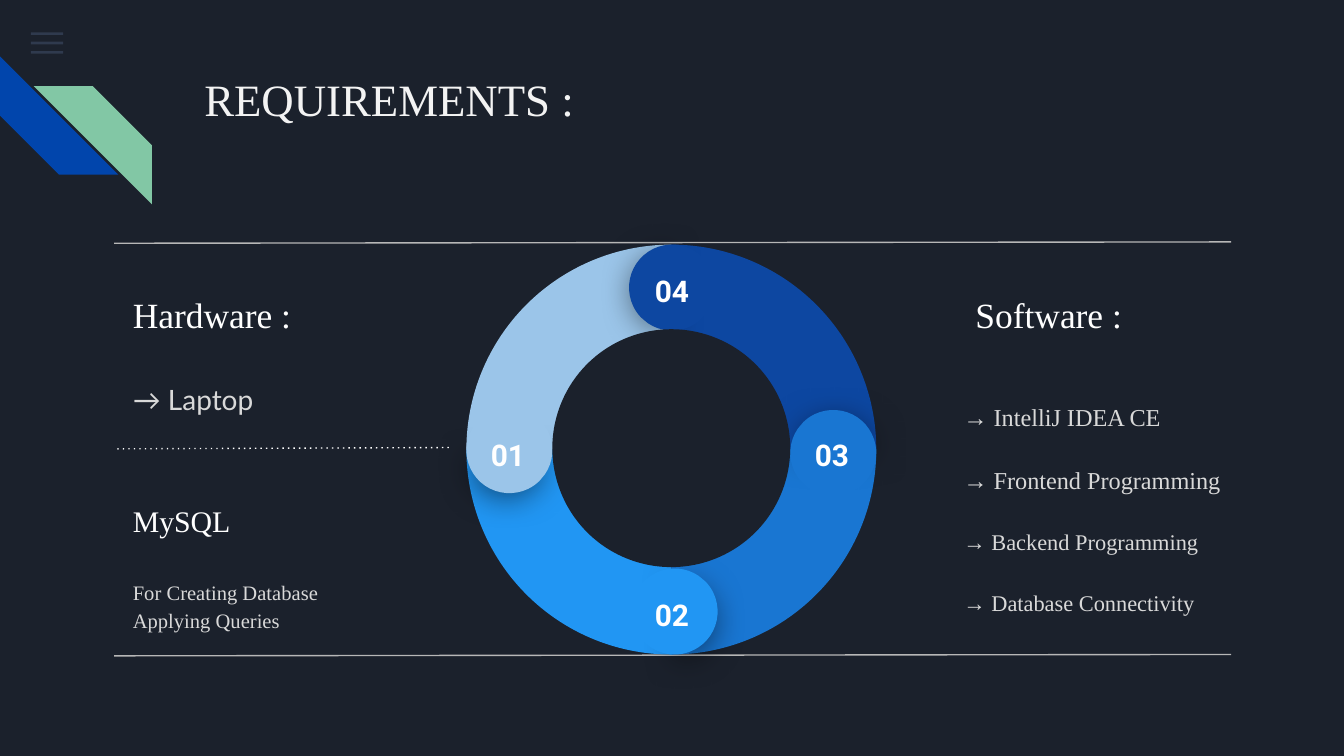
from lxml import etree
from pptx import Presentation
from pptx.dml.color import RGBColor
from pptx.enum.shapes import MSO_CONNECTOR, MSO_SHAPE
from pptx.enum.text import MSO_ANCHOR, PP_ALIGN
from pptx.oxml.ns import qn
from pptx.util import Inches, Pt

RECTANGLE = MSO_SHAPE.RECTANGLE
STRIPE = MSO_SHAPE.DIAGONAL_STRIPE
PIE = MSO_SHAPE.PIE
CHORD = MSO_SHAPE.CHORD
OVAL = MSO_SHAPE.OVAL
STRAIGHT = MSO_CONNECTOR.STRAIGHT
TOP, MIDDLE = MSO_ANCHOR.TOP, MSO_ANCHOR.MIDDLE
LEFT, CENTER = PP_ALIGN.LEFT, PP_ALIGN.CENTER
SERIF = "Times New Roman"
BACKGROUND, WHITE, GRAY = "1B212C", "FFFFFF", "D9D9D9"
color = RGBColor.from_string


def add_filled(kind, left, top, width, height, fill, rotation=0, adjustments=()):
    shape = slide.shapes.add_shape(kind, Inches(left), Inches(top), Inches(width), Inches(height))
    shape.fill.solid()
    shape.fill.fore_color.rgb = color(fill)
    shape.line.fill.background()
    shape.shadow.inherit = False
    shape.rotation = rotation
    for index, value in enumerate(adjustments):
        shape.adjustments[index] = value
    return shape


def write_text(shape, lines, font_name, font_color, anchor=MIDDLE, align=LEFT,
               spacing=1, gap=0, bold=False):
    frame = shape.text_frame
    frame.word_wrap = True
    frame.vertical_anchor = anchor
    frame.margin_left = frame.margin_right = Inches(0.1)
    frame.margin_top = frame.margin_bottom = Inches(0.1)
    for index, (text, size) in enumerate(lines):
        paragraph = frame.add_paragraph() if index else frame.paragraphs[0]
        paragraph.alignment = align
        paragraph.line_spacing = spacing
        paragraph.space_before = Pt(gap if index else 0)
        run = paragraph.add_run()
        run.text = text
        run.font.name = font_name
        run.font.size = Pt(size)
        run.font.bold = bold
        run.font.color.rgb = color(font_color)


presentation = Presentation()
presentation.slide_width = Inches(10)
presentation.slide_height = Inches(10) * 9 // 16
slide = presentation.slides.add_slide(presentation.slide_layouts[5])
slide.background.fill.solid()
slide.background.fill.fore_color.rgb = color(BACKGROUND)

for row in range(3):
    bar = add_filled(RECTANGLE, 0.23, 0.24 + 0.07 * row, 0.24, 0.02, "55688B")
    bar_color = bar.fill._xPr.find(qn("a:solidFill"))[0]
    etree.SubElement(bar_color, qn("a:alpha"), val="36000")
add_filled(STRIPE, 0, 0.42, 0.88, 0.88, "0145AC", 270, [0.5])
add_filled(STRIPE, 0.25, 0.64, 0.88, 0.88, "82C7A5", 90, [0.5])

title = slide.shapes.title
title.left, title.top = Inches(1.42), Inches(0.43)
title.width, title.height = Inches(7.7), Inches(1)
write_text(title, [("REQUIREMENTS :", 24)], SERIF, "F3F3F3", TOP)

software = [("→ IntelliJ IDEA CE", 13), ("→ Frontend Programming", 13),
            ("→ Backend Programming", 12), ("→ Database Connectivity", 12)]
texts = [
    (0.89, 2.09, 2.03, 0.49, [("Hardware :", 19)], SERIF, WHITE, 1),
    (0.89, 2.57, 2.18, 0.76, [("→ Laptop", 15)], "Lato", GRAY, 1.15),
    (0.89, 3.63, 2.03, 0.49, [("MySQL", 16)], SERIF, WHITE, 1),
    (0.89, 4.12, 2.1, 0.76, [("For Creating Database Applying Queries", 11)], SERIF, GRAY, 1.15),
    (7.16, 2.09, 2.03, 0.49, [("Software :", 19)], SERIF, WHITE, 1),
    (7.07, 2.86, 2.18, 1.82, software, SERIF, GRAY, 1.15),
]
for left, top, width, height, lines, font_name, font_color, spacing in texts:
    box = slide.shapes.add_textbox(Inches(left), Inches(top), Inches(width), Inches(height))
    write_text(box, lines, font_name, font_color, spacing=spacing, gap=16)

rules = [(9.16, 1.8, "B7B7B7", "solid"), (3.34, 3.33, WHITE, "dot"), (9.16, 4.87, "B7B7B7", "solid")]
for right, top, line_color, dash in rules:
    rule = slide.shapes.add_connector(
        STRAIGHT, Inches(right), Inches(top), Inches(0.85), Inches(top + 0.01))
    rule.line.color.rgb = color(line_color)
    rule.line.width = Pt(0.75)
    properties = rule._element.spPr
    etree.SubElement(properties.find(qn("a:ln")), qn("a:prstDash"), val=dash)
    etree.SubElement(properties, qn("a:effectLst"))

for quarter, fill in enumerate(["9BC5E9", "0D47A1", "1976D2", "2196F3"]):
    add_filled(PIE, 3.47, 1.82, 3.05, 3.05, fill, 90 * quarter, [107.96, 162.01])

wide, narrow = [189.54, 83.81], [196.87, 77.71]
caps = [
    ("01", "9BC5E9", (3.48, 3.07), (3.47, 3.03), (3.5, 3.15), wide),
    ("02", "2196F3", (4.74, 4.28), (4.7, 4.23), (4.72, 4.34), wide),
    ("03", "1976D2", (5.93, 3.07), (5.88, 3.05), (5.91, 3.15), narrow),
    ("04", "0D47A1", (4.7, 1.83), (4.68, 1.82), (4.72, 1.93), wide),
]
for index, (number, fill, shade_at, cap_at, label_at, arc) in enumerate(caps):
    turn = 360 - 90 * index
    shade = add_filled(PIE, *shade_at, 0.57, 0.57, fill, (turn + 39.5) % 360, arc)
    effects = shade._element.spPr.find(qn("a:effectLst"))
    shadow = etree.SubElement(effects, qn("a:outerShdw"), blurRad=str(Pt(18)), dist=str(Pt(4)),
                              dir="5400000", algn="bl", rotWithShape="0")
    shadow_color = etree.SubElement(shadow, qn("a:srgbClr"), val="000000")
    etree.SubElement(shadow_color, qn("a:alpha"), val="55000")
    add_filled(CHORD, *cap_at, 0.64, 0.64, fill, (turn + 4.1) % 360, [25.01, 18.12])
    left, top = label_at
    label = slide.shapes.add_textbox(Inches(left), Inches(top), Inches(0.56), Inches(0.29))
    write_text(label, [(number, 16)], "Roboto", WHITE, TOP, CENTER, bold=True)

add_filled(OVAL, 4.11, 2.45, 1.77, 1.77, BACKGROUND)

presentation.save("out.pptx")
